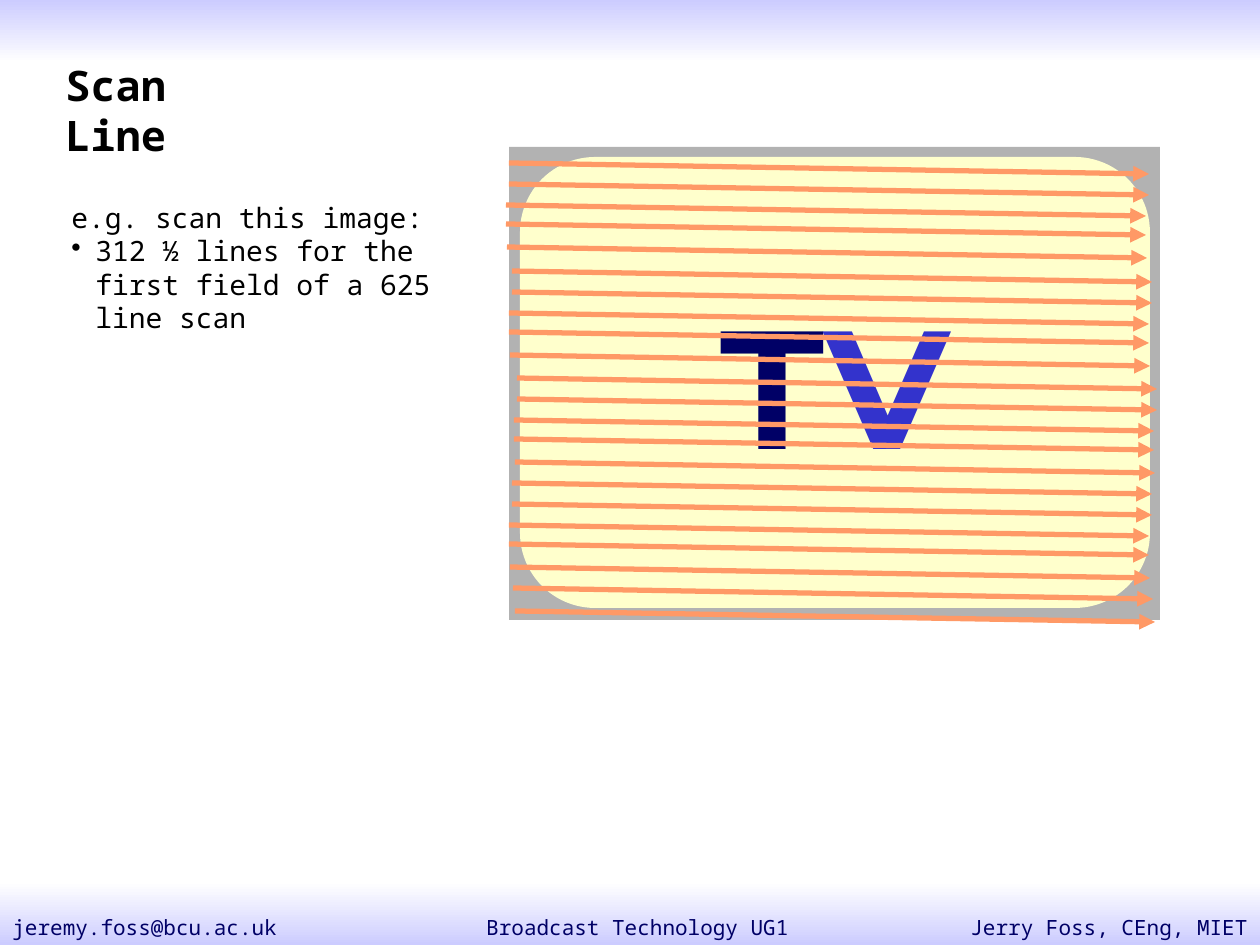
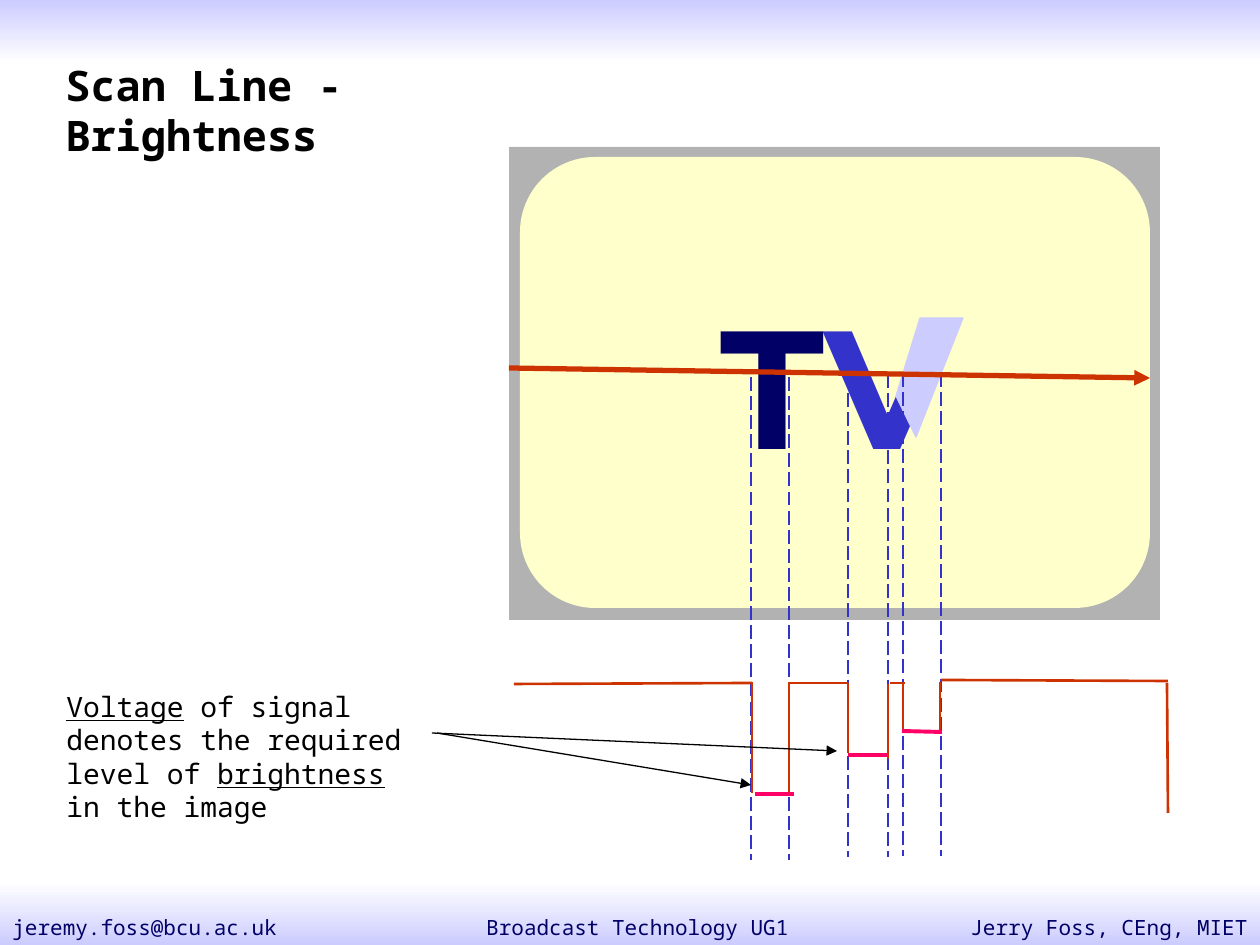
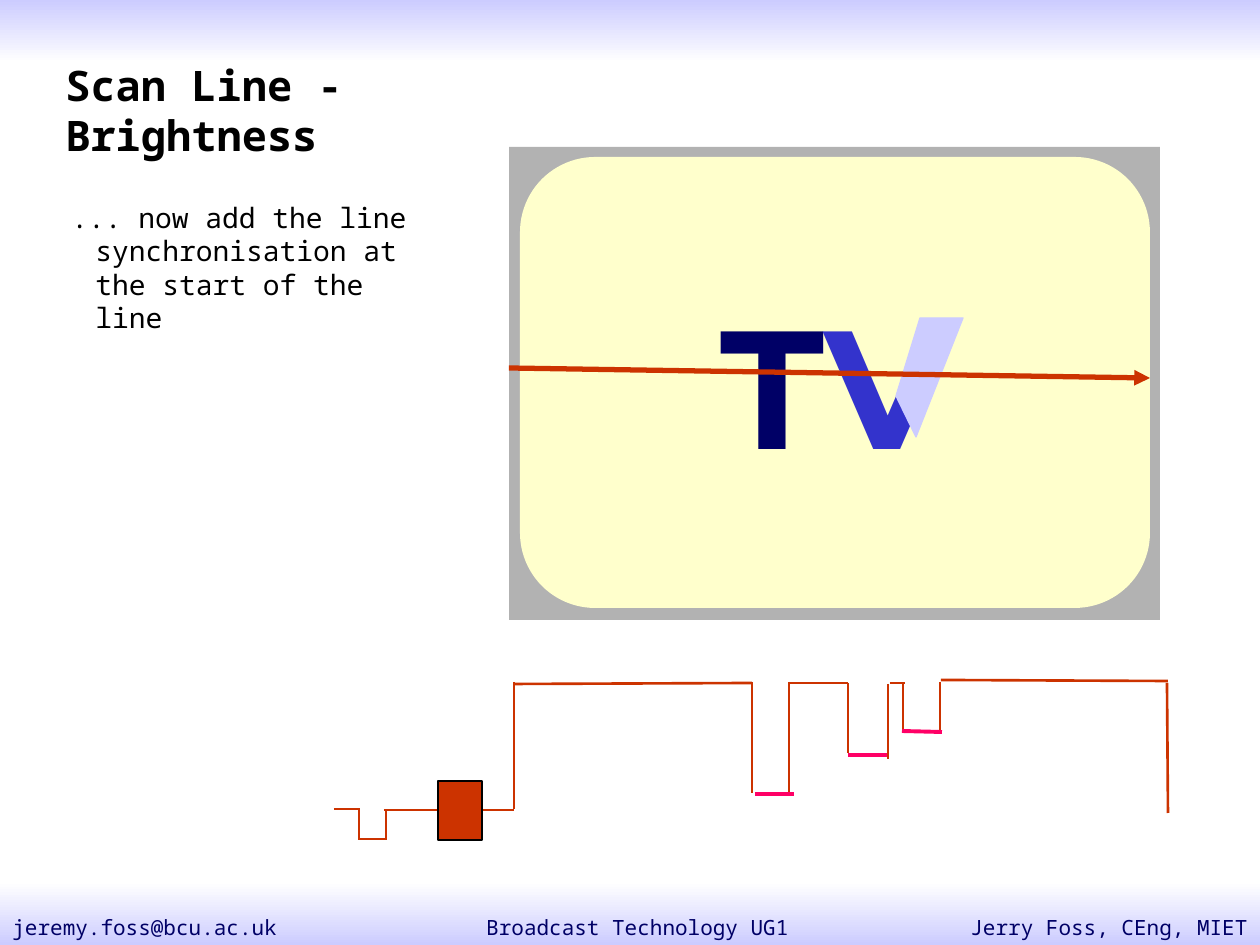
from dataclasses import dataclass

from pptx import Presentation
from pptx.dml.color import RGBColor
from pptx.enum.dml import MSO_LINE
from pptx.enum.shapes import MSO_CONNECTOR, MSO_SHAPE
from pptx.enum.text import MSO_ANCHOR, MSO_AUTO_SIZE, PP_ALIGN
from pptx.oxml.ns import qn
from pptx.oxml.xmlchemy import OxmlElement
from pptx.util import Emu, Pt


@dataclass(frozen=True)
class Theme:
    mono: str = "Noto Sans Mono"
    display: str = "Montserrat"
    black: str = "000000"
    white: str = "FFFFFF"
    lilac: str = "CCCCFF"
    navy: str = "000066"
    blue: str = "3333CC"
    bezel: str = "B2B2B2"
    screen: str = "FFFFCC"
    scan: str = "FF9966"
    signal: str = "CC3300"
    level: str = "FF0066"
    title_size: int = 24
    body_size: int = 16
    footer_size: int = 12
    letter_size: int = 96
    thin: float = 0.75
    dash: float = 1
    trace: float = 1.5
    dip: float = 2.25
    arrow: float = 3


THEME = Theme()
EMU_PER_PX = 914400 / 126
WIDTH, HEIGHT, BAND = 1260, 945, 63
HANGING = 24

FOOTERS = [
    ("Broadcast Technology UG1", 335, 605, PP_ALIGN.CENTER),
    ("jeremy.foss@bcu.ac.uk", 0, 399, PP_ALIGN.LEFT),
    ("Jerry Foss, CEng, MIET", 861, 399, PP_ALIGN.RIGHT),
]
BEZEL = (509, 147, 651, 473)
SCREEN = (520, 157, 630, 451)
LETTERS = [("T", THEME.navy), ("V", THEME.blue)]
PALE_STROKE = [(920, 318), (963, 318), (916, 437), (896, 396)]

BODY_BOX = (59, 194, 388, 113)
VOLTAGE_BOX = (54, 683, 381, 113)
FIELD_TEXT = [
    ("e.g. scan this image:", False),
    ("312 ½ lines for the first field of a 625 line scan", True),
]
SYNC_TEXT = [("... now add the line synchronisation at the start of the line", False)]
VOLTAGE_TEXT = [
    ("Voltage", True),
    (" of signal denotes the required level of ", False),
    ("brightness", True),
    (" in the image", False),
]

SCAN_RUN, SCAN_DROP = 640, 11
SCAN_GROUPS = [(509, 163), (512, 271), (517, 378), (512, 483)]
SCAN_STEPS = [(0, 0), (0, 21), (-3, 42), (-3, 61), (-2, 84)]
LAST_SCANS = [(513, 588), (515, 611)]
BRIGHT_SCAN = [(509, 368, 1150, 378)]

EDGE_LENGTH = 483
EDGES = [(789, 377), (751, 377), (848, 374), (888, 374), (903, 373), (941, 373)]
SIGNAL = [
    (514, 684, 752, 683), (941, 680, 1168, 681),
    (752, 682, 752, 793), (789, 682, 789, 796),
    (848, 683, 848, 753), (888, 684, 888, 759),
    (903, 684, 903, 731), (940, 682, 940, 732),
    (790, 683, 848, 683), (890, 683, 905, 683),
    (1167, 683, 1168, 813),
]
LEVELS = [(848, 755, 887, 755), (902, 731, 942, 732), (755, 794, 794, 794)]
SYNC = [
    (514, 682, 514, 809), (334, 809, 360, 809), (359, 809, 359, 840),
    (359, 839, 387, 839), (386, 810, 386, 840), (384, 810, 514, 810),
]
BURST = (438, 781, 44, 59)
POINTERS = [(437, 733, 751, 785), (432, 733, 837, 751)]


def px(length):
    return Emu(round(length * EMU_PER_PX))


def rgb(value):
    return RGBColor.from_string(value)


def style_font(font, size, color=THEME.black, name=THEME.mono, bold=False):
    font.name, font.size, font.bold = name, Pt(size), bold
    font.color.rgb = rgb(color)


def paint(shape, fill, outline=None):
    shape.shadow.inherit = False
    shape.fill.solid()
    shape.fill.fore_color.rgb = rgb(fill)
    if outline:
        shape.line.color.rgb = rgb(outline)
        shape.line.width = Pt(THEME.thin)
    else:
        shape.line.fill.background()


def add_block(slide, kind, box, fill, outline=None):
    block = slide.shapes.add_shape(kind, *map(px, box))
    paint(block, fill, outline)
    return block


def add_frame(slide, box, grow=True):
    frame = slide.shapes.add_textbox(*map(px, box)).text_frame
    frame.word_wrap = True
    frame.auto_size = MSO_AUTO_SIZE.SHAPE_TO_FIT_TEXT if grow else MSO_AUTO_SIZE.NONE
    return frame


def add_lines(slide, lines, color, width, arrow=False, dashed=False):
    for line in lines:
        connector = slide.shapes.add_connector(MSO_CONNECTOR.STRAIGHT, *map(px, line))
        connector.line.color.rgb = rgb(color)
        connector.line.width = Pt(width)
        if dashed:
            connector.line.dash_style = MSO_LINE.LONG_DASH
        properties = connector.element.spPr
        if arrow:
            head = OxmlElement("a:tailEnd")
            head.set("type", "triangle")
            properties.find(qn("a:ln")).append(head)
        properties.append(OxmlElement("a:effectLst"))


def add_band(slide, top, colors):
    band = add_block(slide, MSO_SHAPE.RECTANGLE, (0, top, WIDTH, BAND), THEME.white)
    band.fill.gradient()
    band.fill.gradient_angle = 270
    for stop, color in zip(band.fill.gradient_stops, colors):
        stop.color.rgb = rgb(color)


def add_television(slide):
    add_block(slide, MSO_SHAPE.RECTANGLE, BEZEL, THEME.bezel)
    screen = add_block(slide, MSO_SHAPE.FLOWCHART_ALTERNATE_PROCESS, SCREEN, THEME.screen)
    frame = screen.text_frame
    frame.word_wrap = False
    frame.vertical_anchor = MSO_ANCHOR.MIDDLE
    paragraph = frame.paragraphs[0]
    paragraph.alignment = PP_ALIGN.CENTER
    for letter, color in LETTERS:
        run = paragraph.add_run()
        run.text = letter
        style_font(run.font, THEME.letter_size, color, THEME.display, True)


def start_slide(deck, title, title_width):
    slide = deck.slides.add_slide(deck.slide_layouts[6])
    add_band(slide, 0, (THEME.lilac, THEME.white))
    add_band(slide, HEIGHT - BAND, (THEME.white, THEME.lilac))
    for text, left, width, alignment in FOOTERS:
        paragraph = add_frame(slide, (left, 908, width, 37), grow=False).paragraphs[0]
        paragraph.text, paragraph.alignment = text, alignment
        style_font(paragraph.font, THEME.footer_size, THEME.navy)
    add_television(slide)
    heading = add_frame(slide, (53, 53, title_width, 63)).paragraphs[0]
    heading.text = title
    style_font(heading.font, THEME.title_size, bold=True)
    return slide


def add_body(slide, items):
    frame = add_frame(slide, BODY_BOX)
    for index, (text, bulleted) in enumerate(items):
        paragraph = frame.add_paragraph() if index else frame.paragraphs[0]
        paragraph.text = text
        properties = paragraph._p.get_or_add_pPr()
        properties.set("marL", str(px(HANGING)))
        properties.set("indent", str(-px(HANGING)))
        if bulleted:
            bullet = OxmlElement("a:buChar")
            bullet.set("char", "•")
            properties.append(bullet)
        style_font(paragraph.font, THEME.body_size)


def add_voltage_note(slide):
    paragraph = add_frame(slide, VOLTAGE_BOX).paragraphs[0]
    style_font(paragraph.font, THEME.body_size)
    for text, underlined in VOLTAGE_TEXT:
        run = paragraph.add_run()
        run.text = text
        run.font.underline = underlined


def add_pale_stroke(slide):
    builder = slide.shapes.build_freeform(*PALE_STROKE[0], scale=EMU_PER_PX)
    builder.add_line_segments(PALE_STROKE[1:], close=True)
    paint(builder.convert_to_shape(), THEME.lilac, THEME.lilac)


def add_signal(slide):
    add_lines(slide, BRIGHT_SCAN, THEME.signal, THEME.arrow, arrow=True)
    add_lines(slide, SIGNAL, THEME.signal, THEME.trace)
    add_lines(slide, LEVELS, THEME.level, THEME.dip)


def build_scan_slide(deck):
    slide = start_slide(deck, "Scan Line", 217)
    add_body(slide, FIELD_TEXT)
    starts = [(x + dx, y + dy) for x, y in SCAN_GROUPS for dx, dy in SCAN_STEPS]
    scans = [(x, y, x + SCAN_RUN, y + SCAN_DROP) for x, y in starts + LAST_SCANS]
    add_lines(slide, scans, THEME.scan, THEME.arrow, arrow=True)


def start_brightness_slide(deck):
    slide = start_slide(deck, "Scan Line - Brightness", 481)
    add_pale_stroke(slide)
    return slide


def build_voltage_slide(deck):
    slide = start_brightness_slide(deck)
    edges = [(x, y, x, y + EDGE_LENGTH) for x, y in EDGES]
    add_lines(slide, edges, THEME.blue, THEME.dash, dashed=True)
    add_signal(slide)
    add_voltage_note(slide)
    add_lines(slide, POINTERS, THEME.black, THEME.thin, arrow=True)


def build_sync_slide(deck):
    slide = start_brightness_slide(deck)
    add_signal(slide)
    add_lines(slide, SYNC, THEME.signal, THEME.trace)
    add_block(slide, MSO_SHAPE.RECTANGLE, BURST, THEME.signal, THEME.black)
    add_body(slide, SYNC_TEXT)


def main():
    deck = Presentation()
    deck.slide_width, deck.slide_height = px(WIDTH), px(HEIGHT)
    build_scan_slide(deck)
    build_voltage_slide(deck)
    build_sync_slide(deck)
    deck.save("out.pptx")


if __name__ == "__main__":
    main()
